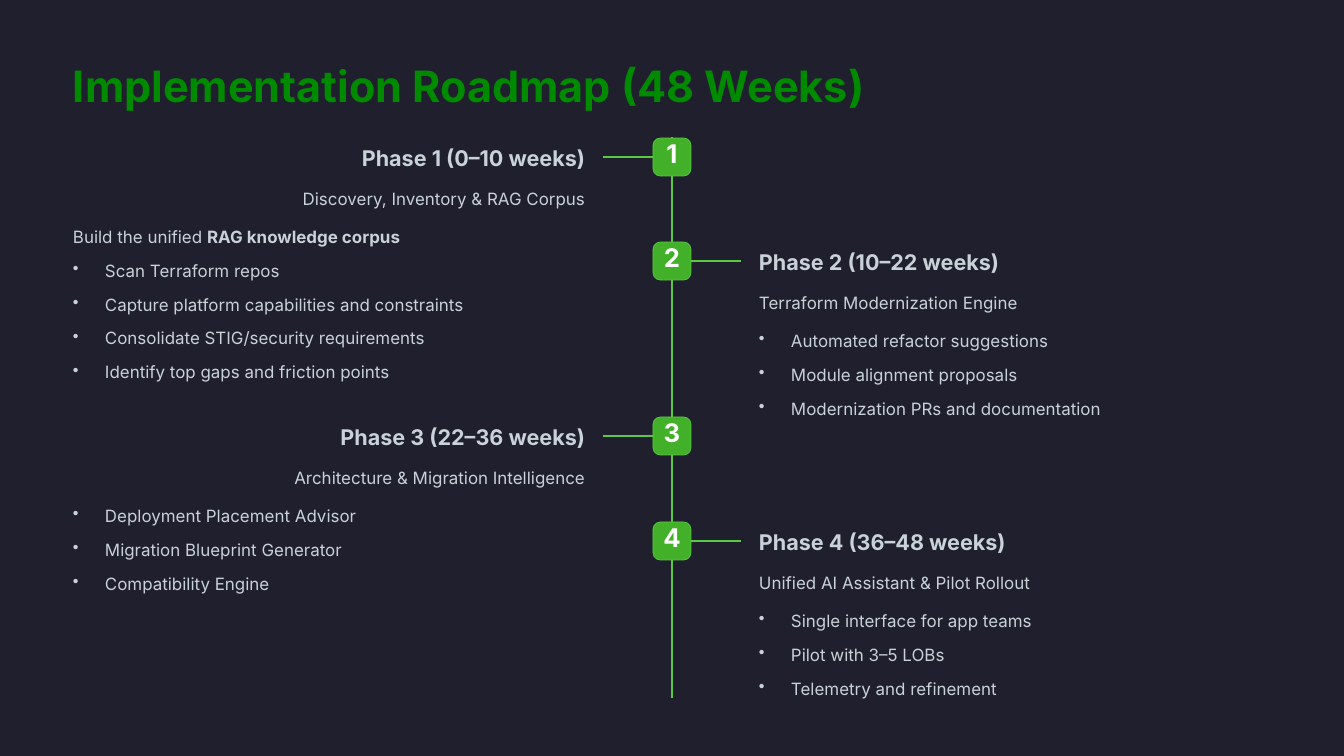
from lxml import etree
from pptx import Presentation
from pptx.dml.color import RGBColor
from pptx.enum.shapes import MSO_CONNECTOR, MSO_SHAPE
from pptx.enum.text import MSO_ANCHOR, PP_ALIGN
from pptx.oxml.ns import qn
from pptx.util import Emu, Pt

STRAIGHT = MSO_CONNECTOR.STRAIGHT
ROUNDED = MSO_SHAPE.ROUNDED_RECTANGLE
TOP = MSO_ANCHOR.TOP
LEFT, CENTER, RIGHT = PP_ALIGN.LEFT, PP_ALIGN.CENTER, PP_ALIGN.RIGHT

NIGHT = RGBColor(0x1F, 0x1F, 0x2E)
TITLE_GREEN = RGBColor(0x00, 0x8A, 0x00)
BADGE_GREEN = RGBColor(0x42, 0xB0, 0x29)
LINE_GREEN = RGBColor(0x5B, 0xC9, 0x42)
WHITE = RGBColor(0xFF, 0xFF, 0xFF)
SILVER = RGBColor(0xC9, 0xD1, 0xD9)

SPINE_X, SPINE_TOP, SPINE_BOTTOM = 672, 137, 698
BADGE = 38
SPOKE_END = 69
LEFT_X, RIGHT_X, COLUMN = 73, 759, 512
HEADING_RISE = 13
INDENT = 32
FIRST_ITEM, ITEM_PITCH = 103, 34

TITLE = {"size": Pt(37), "bold": True}
NUMBER = {"size": Pt(22), "bold": True}
HEADING = {"size": Pt(18.5), "bold": True}
BODY = {"size": Pt(14.5), "bold": False}
STRONG = {"size": Pt(14.5), "bold": True}

HEADING_LINE = {"line_spacing": Pt(23)}
SUBTITLE_LINE = {"line_spacing": Pt(23.5), "space_before": Pt(9)}
FIRST_LINE = {"line_spacing": Pt(23.5), "space_before": Pt(9.2)}
ITEM_LINE = {"line_spacing": Pt(23.5), "space_before": Pt(5.5)}

PHASES = [
    (157, "Phase 1 (0–10 weeks)", "Discovery, Inventory & RAG Corpus",
     ("Build the unified ", "RAG knowledge corpus"),
     ["Scan Terraform repos",
      "Capture platform capabilities and constraints",
      "Consolidate STIG/security requirements",
      "Identify top gaps and friction points"]),
    (261, "Phase 2 (10–22 weeks)", "Terraform Modernization Engine", None,
     ["Automated refactor suggestions",
      "Module alignment proposals",
      "Modernization PRs and documentation"]),
    (436, "Phase 3 (22–36 weeks)", "Architecture & Migration Intelligence", None,
     ["Deployment Placement Advisor",
      "Migration Blueprint Generator",
      "Compatibility Engine"]),
    (541, "Phase 4 (36–48 weeks)", "Unified AI Assistant & Pilot Rollout", None,
     ["Single interface for app teams",
      "Pilot with 3–5 LOBs",
      "Telemetry and refinement"]),
]


def px(length):
    return Emu(round(length * 914400 / 84))


def apply(target, values):
    for name, value in values.items():
        setattr(target, name, value)


def prepare_frame(frame, wrap, top=0):
    apply(frame, {"margin_left": 0, "margin_right": 0, "margin_top": px(top),
                  "margin_bottom": 0, "word_wrap": wrap, "vertical_anchor": TOP})
    return frame


def add_text_box(page, x, y, width, height, wrap=True):
    box = page.shapes.add_textbox(px(x), px(y), px(width), px(height))
    return prepare_frame(box.text_frame, wrap)


def add_span(para, text, font, color=SILVER):
    span = para.add_run()
    span.text = text
    apply(span.font, {"name": "Inter", **font})
    span.font.color.rgb = color


def add_para(frame, spacing, alignment=LEFT):
    first = frame.paragraphs[0]
    para = frame.add_paragraph() if first.runs else first
    apply(para, {"alignment": alignment, **spacing})
    return para


def add_bullet(para):
    properties = para._p.get_or_add_pPr()
    properties.set("marL", str(px(INDENT)))
    properties.set("indent", str(-px(INDENT)))
    etree.SubElement(properties, qn("a:buChar")).set("char", "•")


def add_line(page, x1, y1, x2, y2):
    line = page.shapes.add_connector(STRAIGHT, px(x1), px(y1), px(x2), px(y2))
    line.line.color.rgb = LINE_GREEN
    line.line.width = Pt(2)
    etree.SubElement(line._element.spPr, qn("a:effectLst"))
    return line


def add_badge(page, number, middle):
    half = BADGE / 2
    badge = page.shapes.add_shape(ROUNDED, px(SPINE_X - half), px(middle - half),
                                  px(BADGE), px(BADGE))
    badge.shadow.inherit = False
    badge.adjustments[0] = 0.19
    badge.fill.solid()
    badge.fill.fore_color.rgb = BADGE_GREEN
    badge.line.color.rgb = LINE_GREEN
    badge.line.width = Pt(0.6)
    frame = prepare_frame(badge.text_frame, False, 3)
    para = add_para(frame, {"line_spacing": Pt(22)}, CENTER)
    add_span(para, str(number), NUMBER, WHITE)
    return badge


def add_spoke(page, badge, middle, side):
    spoke = add_line(page, SPINE_X + side * BADGE / 2, middle,
                     SPINE_X + side * SPOKE_END, middle)
    spoke.begin_connect(badge, 2 + side)


def add_phase_text(page, middle, side, heading, subtitle, lead, items):
    count = len(items) + bool(lead)
    x, alignment = (LEFT_X, RIGHT) if side < 0 else (RIGHT_X, LEFT)
    frame = add_text_box(page, x, middle - HEADING_RISE, COLUMN,
                         FIRST_ITEM + ITEM_PITCH * (count - 1))
    add_span(add_para(frame, HEADING_LINE, alignment), heading, HEADING)
    add_span(add_para(frame, SUBTITLE_LINE, alignment), subtitle, BODY)
    spacing = FIRST_LINE
    if lead:
        para = add_para(frame, spacing)
        add_span(para, lead[0], BODY)
        add_span(para, lead[1], STRONG)
        spacing = ITEM_LINE
    for item in items:
        para = add_para(frame, spacing)
        add_bullet(para)
        add_span(para, item, BODY)
        spacing = ITEM_LINE


def main():
    deck = Presentation()
    deck.slide_width, deck.slide_height = px(1344), px(756)
    page = deck.slides.add_slide(deck.slide_layouts[6])
    page.background.fill.solid()
    page.background.fill.fore_color.rgb = NIGHT

    frame = add_text_box(page, 73, 57, 795, 54, wrap=False)
    title = add_para(frame, {"line_spacing": Pt(46)})
    add_span(title, "Implementation Roadmap (48 Weeks)", TITLE, TITLE_GREEN)

    add_line(page, SPINE_X, SPINE_TOP, SPINE_X, SPINE_BOTTOM)
    for number, (middle, *content) in enumerate(PHASES, 1):
        side = -1 if number % 2 else 1
        badge = add_badge(page, number, middle)
        add_spoke(page, badge, middle, side)
        add_phase_text(page, middle, side, *content)

    deck.save("out.pptx")


if __name__ == "__main__":
    main()
